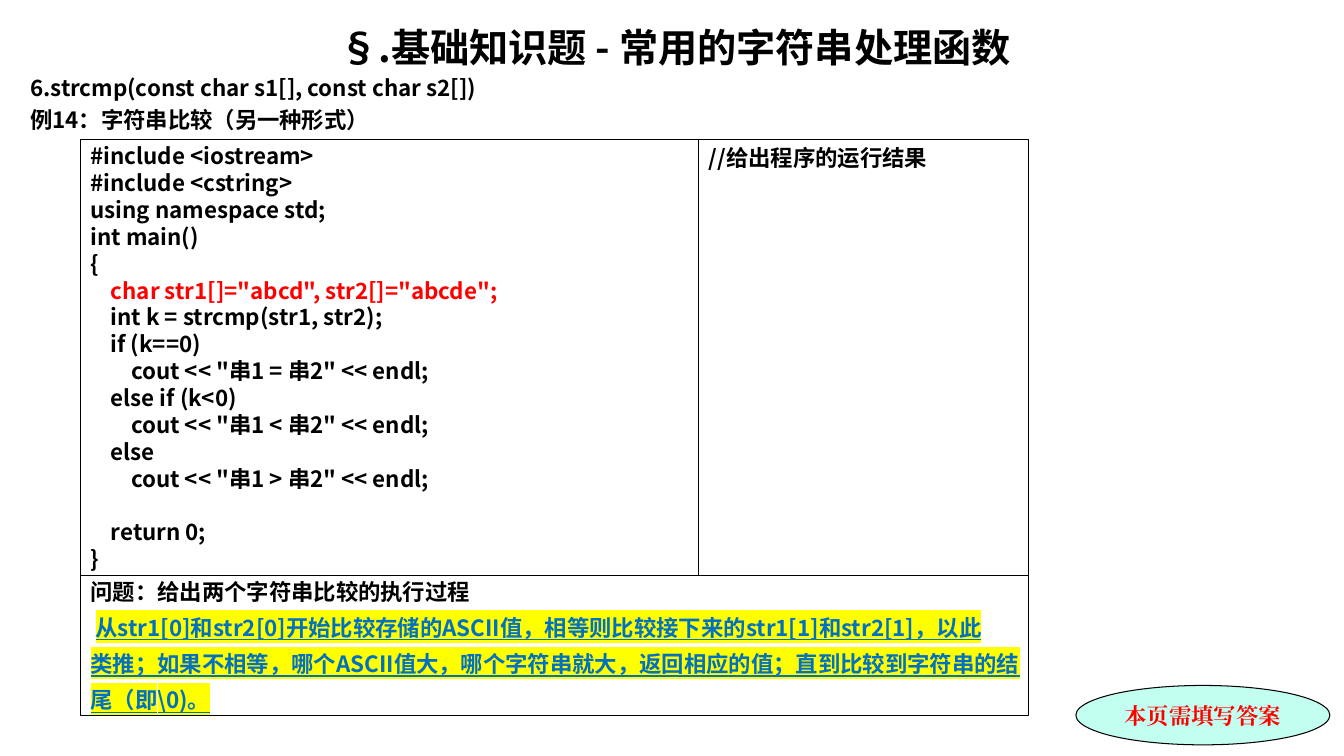
import pptx
import pptx.util
import pptx.dml.color
import pptx.enum.shapes
import pptx.enum.text
import pptx.oxml
import pptx.oxml.ns

WIDE, HIGH = 13.33, 7.5
SANS, SERIF = "Noto Sans CJK SC", "Times New Roman"
INK = {"black": "000000", "red": "FF0000", "blue": "0070C0",
       "mark": "FFFF00", "mint": "C2FFF0"}
KIND = pptx.enum.shapes.MSO_SHAPE
ALIGN = pptx.enum.text.PP_ALIGN
ANCHOR = pptx.enum.text.MSO_ANCHOR

# Edges of the framed grid, in percent of the slide's width and height
COLS = (6, 52, 76.5)
ROWS = (18.4, 76.13, 94.67)

CODE = """#include <iostream>
#include <cstring>
using namespace std;
int main()
{
    char str1[]="abcd", str2[]="abcde";
    int k = strcmp(str1, str2);
    if (k==0)
        cout << "串1 = 串2" << endl;
    else if (k<0)
        cout << "串1 < 串2" << endl;
    else
        cout << "串1 > 串2" << endl;

    return 0;
}""".split("\n")

REPLY = ("从str1[0]和str2[0]开始比较存储的ASCII值，相等则比较接下来的str1[1]和str2[1]，以此",
         "类推；如果不相等，哪个ASCII值大，哪个字符串就大，返回相应的值；直到比较到字符串的结",
         "尾（即\\0)。")


def tint(name):
    return pptx.dml.color.RGBColor.from_string(INK[name])


def place(left, top, right, low):
    """Turn percent edges into left, top, width and height."""
    inch = pptx.util.Inches
    return (inch(WIDE * left / 100), inch(HIGH * top / 100),
            inch(WIDE * (right - left) / 100), inch(HIGH * (low - top) / 100))


def add_run(para, text, size=16, ink="black", face=SANS, mark=False):
    run = para.add_run()
    run.text = text
    font = run.font
    font.size, font.bold = pptx.util.Pt(size), True
    font.color.rgb = tint(ink)
    font.name = face
    props = run._r.get_or_add_rPr()
    space = pptx.oxml.ns.nsdecls("a")
    latin = props.find(pptx.oxml.ns.qn("a:latin"))
    latin.addnext(pptx.oxml.parse_xml(f'<a:ea {space} typeface="{face}"/>'))
    if mark:
        font.underline = True
        latin.addprevious(pptx.oxml.parse_xml(
            f'<a:highlight {space}><a:srgbClr val="{INK["mark"]}"/></a:highlight>'))


def add_para(frame, first, gap=0, size=16, align=ALIGN.LEFT):
    para = frame.paragraphs[0] if first else frame.add_paragraph()
    para.alignment = align
    para.line_spacing = pptx.util.Pt(size * 1.2)
    para.space_before = pptx.util.Pt(0 if first else gap)
    para.font.size = pptx.util.Pt(size)
    return para


def add_panel(slide, edges, kind=KIND.RECTANGLE, fill=None,
              anchor=ANCHOR.MIDDLE, wrap=False):
    shape = slide.shapes.add_shape(kind, *place(*edges))
    shape.shadow.inherit = False
    if fill:
        shape.fill.solid()
        shape.fill.fore_color.rgb = tint(fill)
    else:
        shape.fill.background()
    shape.line.color.rgb = tint("black")
    shape.line.width = pptx.util.Pt(0.75)
    frame = shape.text_frame
    frame.word_wrap, frame.vertical_anchor = wrap, anchor
    return frame


def add_head(slide):
    frame = slide.shapes.add_textbox(*place(1.5, 2.4, 98.95, 18)).text_frame
    frame.word_wrap = True
    title = add_para(frame, True, size=28, align=ALIGN.CENTER)
    add_run(title, "§.基础知识题 - 常用的字符串处理函数", 28)
    for text in ("6.strcmp(const char s1[], const char s2[])",
                 "例14：字符串比较（另一种形式）"):
        add_run(add_para(frame, False, 3.2), text)


def add_code(slide):
    frame = add_panel(slide, (COLS[0], ROWS[0], COLS[1], ROWS[1]))
    for i, line in enumerate(CODE):
        para = add_para(frame, i == 0)
        if line:
            add_run(para, line, ink="red" if "char str1" in line else "black")


def add_reply(slide):
    frame = add_panel(slide, (COLS[0], ROWS[1], COLS[2], ROWS[2]))
    add_run(add_para(frame, True), "问题：给出两个字符串比较的执行过程")
    for i, line in enumerate(REPLY):
        para = add_para(frame, False, 6.7)
        if i == 0:
            add_run(para, " ")
        add_run(para, line, ink="blue", mark=True)


def main():
    deck = pptx.Presentation()
    deck.slide_width = pptx.util.Inches(WIDE)
    deck.slide_height = pptx.util.Inches(HIGH)
    slide = deck.slides.add_slide(deck.slide_layouts[6])

    # Title and topic
    add_head(slide)

    # Reminder badge
    badge = add_panel(slide, (80.05, 90.67, 98.95, 98.53), KIND.OVAL, "mint", wrap=True)
    add_run(add_para(badge, True, align=ALIGN.CENTER), "本页需填写答案", ink="red", face=SERIF)

    # Code, question and result
    add_code(slide)
    add_reply(slide)
    result = add_panel(slide, (COLS[1], ROWS[0], COLS[2], ROWS[1]), anchor=ANCHOR.TOP)
    add_run(add_para(result, True), "//给出程序的运行结果")

    deck.save("out.pptx")


if __name__ == "__main__":
    main()
